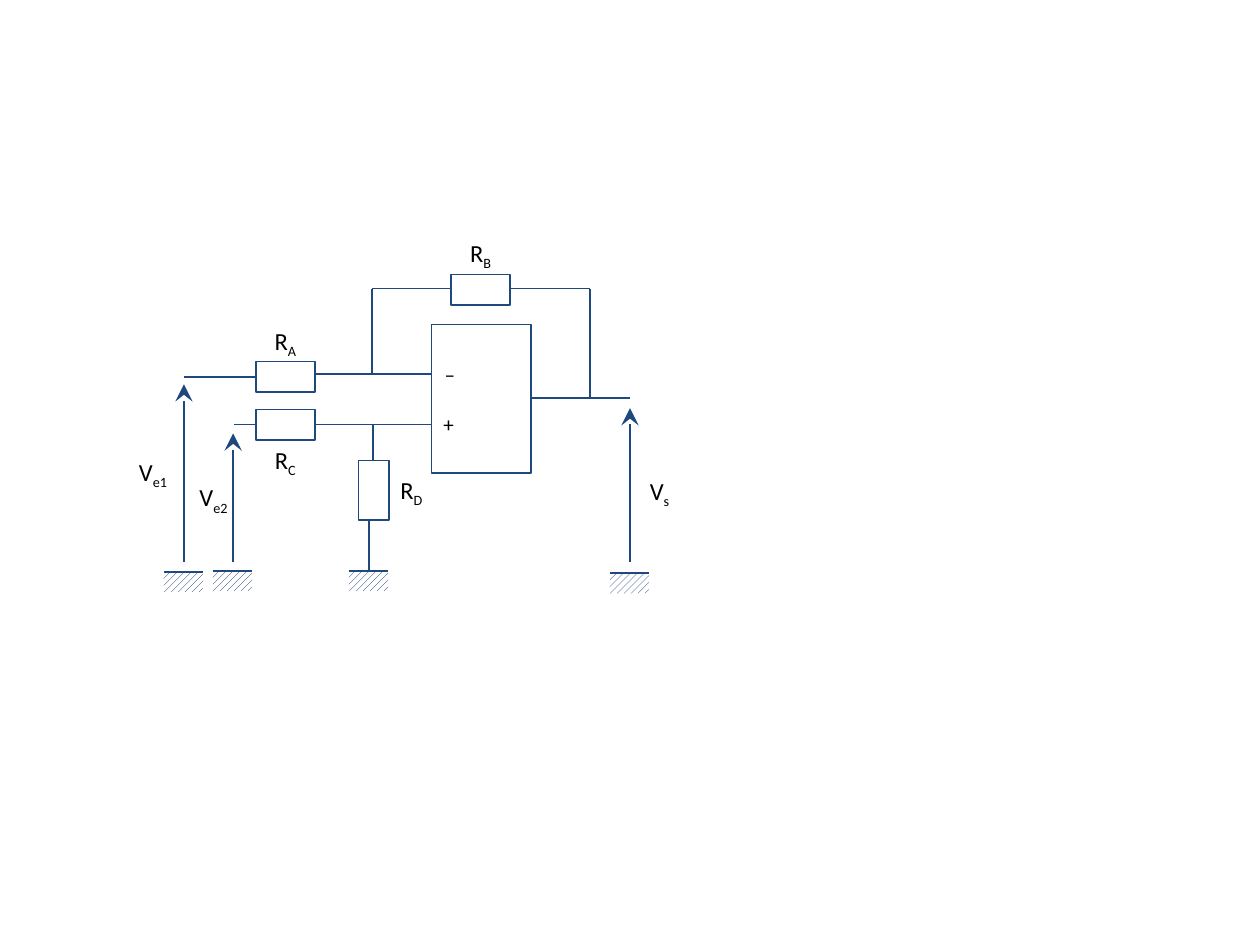
from lxml import etree
from pptx import Presentation
from pptx.dml.color import RGBColor
from pptx.enum import dml, shapes, text
from pptx.oxml import ns
from pptx.util import Inches, Pt

BLUE = RGBColor(0x1F, 0x49, 0x7D)
NAVY = RGBColor(0x00, 0x20, 0x60)
WHITE = RGBColor(0xFF, 0xFF, 0xFF)
BLACK = RGBColor(0x00, 0x00, 0x00)

LONG, SHORT = 0.47, 0.24    # resistor body
EARTH = (0.31, 0.16)        # hatched ground
FOOT = 4.46                 # where voltage arrows start

# left, top, width, height, turn
BOXES = [
    (2.03, 2.87, LONG, SHORT, 0),    # RA
    (2.03, 3.25, LONG, SHORT, 0),    # RC
    (2.73, 3.77, LONG, SHORT, 90),   # RD
    (3.58, 2.18, LONG, SHORT, 0),    # RB
    (3.23, 2.77, 1.18, 0.79, 90),    # amplifier
]
# x1, y1, x2, y2
WIRES = [
    (2.03, 2.99, 1.46, 2.99), (3.43, 2.97, 2.5, 2.97),   # minus input
    (2.03, 3.37, 1.86, 3.37), (3.42, 3.37, 2.5, 3.37),   # plus input
    (2.96, 3.65, 2.96, 3.37), (2.93, 4.53, 2.93, 4.12),  # RD branch
    (2.95, 2.97, 2.95, 2.29), (3.58, 2.29, 2.95, 2.29),  # feedback
    (4.68, 2.29, 4.05, 2.29), (4.68, 3.16, 4.68, 2.29),
    (5, 3.16, 4.21, 3.16),                               # output
]
VOLTS = [(1.46, 3.05), (1.85, 3.44), (5, 3.24)]          # x, tip
GROUNDS = [(1.3, 4.54), (1.69, 4.53), (2.77, 4.53), (4.84, 4.55)]
# main letter, subscript, left, top
NAMES = [
    ("R", "A", 2.03, 2.54), ("R", "B", 3.58, 1.84),
    ("R", "C", 2.03, 3.48), ("R", "D", 3.03, 3.72),
    ("V", "e1", 0.98, 3.58), ("V", "e2", 1.46, 3.78), ("V", "s", 5, 3.73),
]
SIGNS = [("–", 3.43, 2.82), ("+", 3.42, 3.22)]
HEAD = {"type": "stealth", "w": "lg", "len": "lg"}


def wire(home, x1, y1, x2, y2, head=False):
    line = home.add_connector(shapes.MSO_CONNECTOR.STRAIGHT,
                              *map(Inches, (x1, y1, x2, y2)))
    line.line.color.rgb = BLUE
    line.line.width = Pt(1)
    props = line._element.spPr
    if head:
        etree.SubElement(props.find(ns.qn("a:ln")), ns.qn("a:tailEnd"), HEAD)
    etree.SubElement(props, ns.qn("a:effectLst"))


def block(home, *place):
    shape = home.add_shape(shapes.MSO_SHAPE.RECTANGLE, *map(Inches, place))
    shape.shadow.inherit = False
    return shape


def ground(home, x, y):
    group = home.add_group_shape().shapes
    earth = block(group, x, y, *EARTH)
    earth.line.fill.background()
    earth.fill.patterned()
    look = {"pattern": dml.MSO_PATTERN.WIDE_UPWARD_DIAGONAL}
    for key, value in look.items():
        setattr(earth.fill, key, value)
    earth.fill.fore_color.rgb = NAVY
    earth.fill.back_color.rgb = WHITE
    wire(group, x, y, x + EARTH[0], y)


def label(home, x, y, high, size, align, main, sub=""):
    frame = home.add_textbox(*map(Inches, (x, y, LONG, high))).text_frame
    frame.word_wrap = True
    frame.auto_size = text.MSO_AUTO_SIZE.SHAPE_TO_FIT_TEXT
    para = frame.paragraphs[0]
    para.alignment = align
    for part, base in ((main, None), (sub, "-25000")):
        if not part:
            continue
        run = para.add_run()
        run.text = part
        for key, value in {"name": "Calibri", "size": Pt(size)}.items():
            setattr(run.font, key, value)
        run.font.color.rgb = BLACK
        if base:
            run._r.get_or_add_rPr().set("baseline", base)


def main():
    deck = Presentation()
    deck.slide_width, deck.slide_height = Inches(10), Inches(7.5)
    home = deck.slides.add_slide(deck.slide_layouts[6]).shapes
    for *place, turn in BOXES:
        box = block(home, *place)
        box.rotation = turn
        box.fill.background()
        box.line.color.rgb = BLUE
        box.line.width = Pt(1)
    for ends in WIRES:
        wire(home, *ends)
    for x, tip in VOLTS:
        wire(home, x, FOOT, x, tip, head=True)
    for spot in GROUNDS:
        ground(home, *spot)
    for letter, sub, x, y in NAMES:
        label(home, x, y, 0.34, 14, text.PP_ALIGN.CENTER, letter, sub)
    for sign, x, y in SIGNS:
        label(home, x, y, 0.3, 12, text.PP_ALIGN.LEFT, sign)
    deck.save("out.pptx")


if __name__ == "__main__":
    main()
